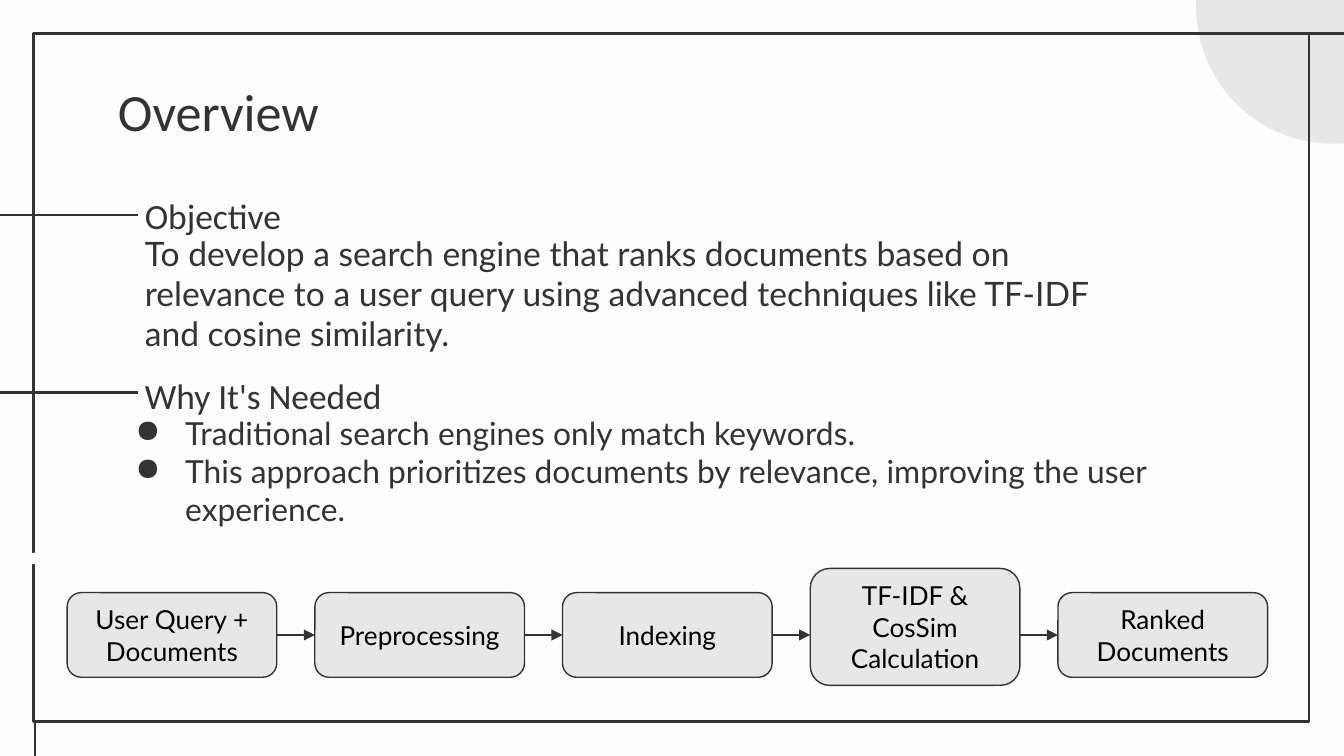
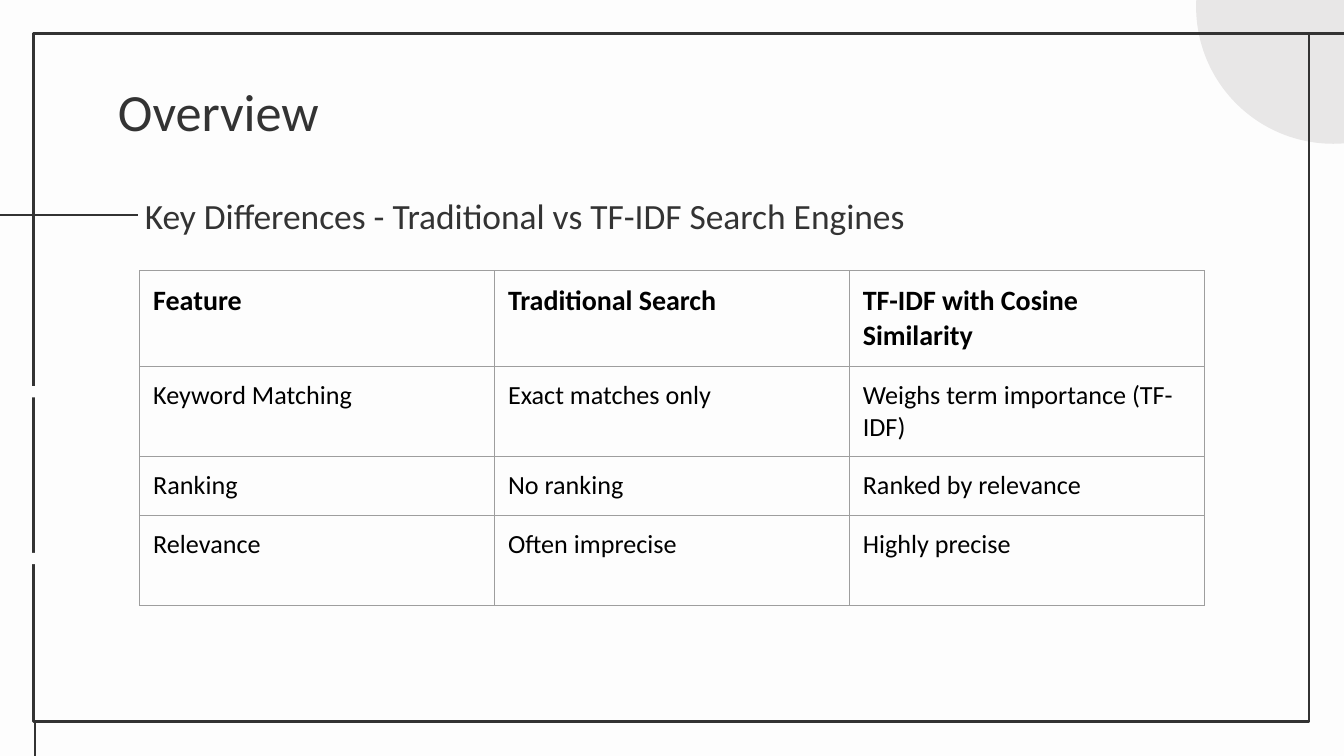
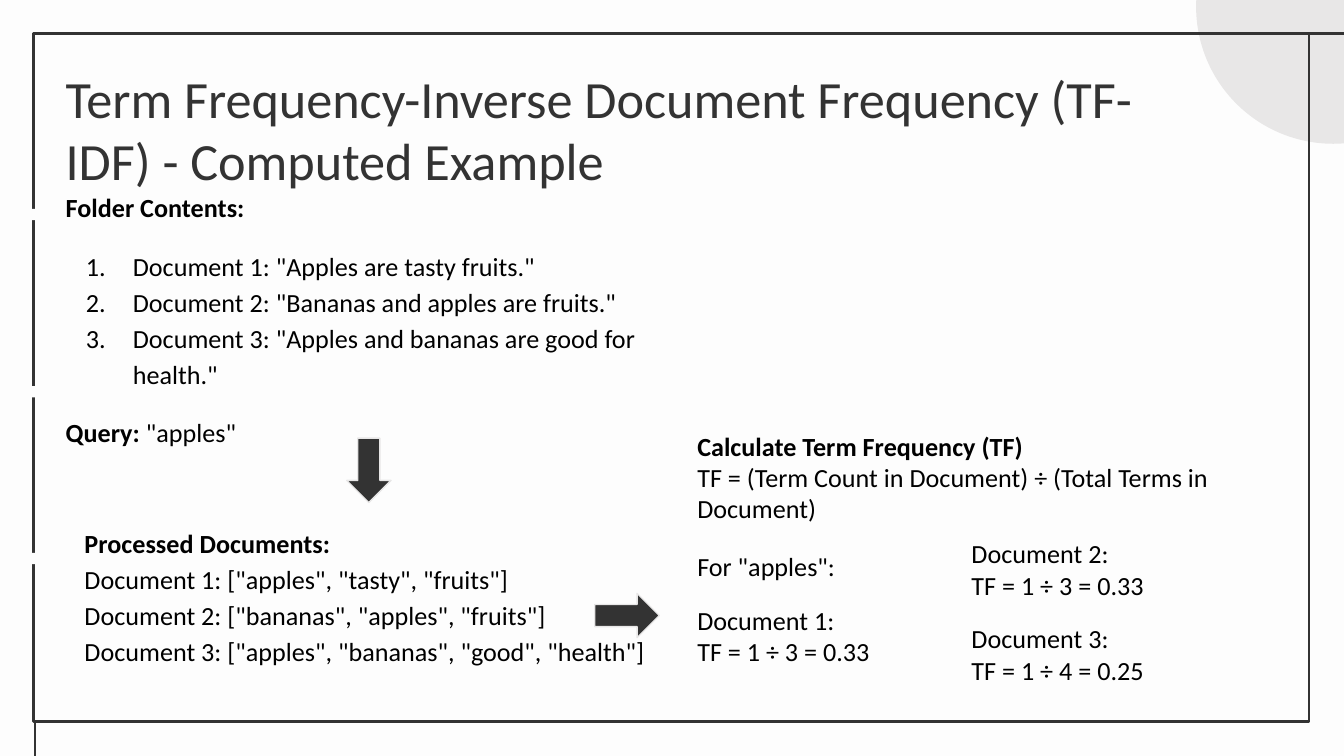
from dataclasses import dataclass
from itertools import pairwise
from typing import Optional

from lxml import etree
from pptx import Presentation
from pptx import util as u
from pptx.dml.color import RGBColor
from pptx.enum import shapes, text
from pptx.oxml.ns import qn

PAPER = RGBColor(0xFD, 0xFD, 0xFD)
INK = RGBColor(0x33, 0x33, 0x33)
MIST = RGBColor(0xE8, 0xE7, 0xE7)
GRID = RGBColor(0x9E, 0x9E, 0x9E)
BLACK = RGBColor(0, 0, 0)

WIDTH = u.Inches(10)
HEIGHT = u.Inches(5.625)
STEP = WIDTH / 100
INSET = u.Inches(0.1)
RULE_ROWS = (16, 29.2, 41.6)


@dataclass
class Style:
    font: str
    size: float
    color: RGBColor = BLACK
    spacing: Optional[float] = None


@dataclass
class Para:
    runs: list
    before: Optional[float] = None
    mark: Optional[tuple] = None


TITLE = Style("Calibri", 28, INK)
HEADING = Style("Calibri", 19, INK, 1.15)
STATEMENT = Style("Lato", 18, INK)
REASON = Style("Lato", 17, INK)
STAGE = Style("Lato", 14)
NOTE = Style("Calibri", 14)
LOOSE_NOTE = Style("Calibri", 14, spacing=1.15)
TABLE_HEAD = Style("Calibri", 15)

DOT = ("buChar", {"char": "●"}, 0.37)
NUMBER = ("buAutoNum", {"type": "arabicPeriod"}, 0.35)


def steps(*counts):
    return [round(count * STEP) for count in counts]


def plain(wording, **options):
    return Para([(wording, False)], **options)


def bold(wording, **options):
    return Para([(wording, True)], **options)


def add_mark(paragraph, mark, color):
    tag, attributes, hanging = mark
    properties = paragraph._p.get_or_add_pPr()
    properties.set("marL", str(u.Inches(0.5)))
    properties.set("indent", str(-u.Inches(hanging)))
    tint = etree.SubElement(properties, qn("a:buClr"))
    etree.SubElement(tint, qn("a:srgbClr"), val=str(color))
    etree.SubElement(properties, qn("a:" + tag), **attributes)


def write(frame, paras, style, align=text.PP_ALIGN.LEFT):
    frame.word_wrap = True
    frame.margin_left = frame.margin_right = INSET
    frame.margin_top = frame.margin_bottom = INSET
    for index, para in enumerate(paras):
        paragraph = frame.add_paragraph() if index else frame.paragraphs[0]
        paragraph.alignment = align
        if style.spacing:
            paragraph.line_spacing = style.spacing
        if para.before:
            paragraph.space_before = u.Pt(para.before)
        if para.mark:
            add_mark(paragraph, para.mark, style.color)
        for wording, is_bold in para.runs:
            for number, line in enumerate(wording.split("\n")):
                if number:
                    paragraph.add_line_break()
                run = paragraph.add_run()
                run.text = line
                run.font.name = style.font
                run.font.size = u.Pt(style.size)
                run.font.bold = is_bold
                run.font.color.rgb = style.color


def add_text(slide, area, paras, style, anchor=text.MSO_ANCHOR.TOP):
    frame = slide.shapes.add_textbox(*steps(*area)).text_frame
    frame.vertical_anchor = anchor
    write(frame, paras, style)


def add_figure(slide, kind, area, fill=None, line=None, weight=0.75):
    figure = slide.shapes.add_shape(kind, *steps(*area))
    figure.shadow.inherit = False
    if fill is None:
        figure.fill.background()
    else:
        figure.fill.solid()
        figure.fill.fore_color.rgb = fill
    if line is None:
        figure.line.fill.background()
    else:
        figure.line.color.rgb = line
        figure.line.width = u.Pt(weight)
    return figure


def add_line(slide, ends, color=INK, weight=1.5, arrow=False):
    line = slide.shapes.add_connector(shapes.MSO_CONNECTOR.STRAIGHT, *steps(*ends))
    line.line.color.rgb = color
    line.line.width = u.Pt(weight)
    if arrow:
        etree.SubElement(line.line._get_or_add_ln(), qn("a:tailEnd"), type="triangle")
    etree.SubElement(line._element.spPr, qn("a:effectLst"))
    return line


def start_slide(deck, title, corner=(7.8, 4.9), rules=0):
    slide = deck.slides.add_slide(deck.slide_layouts[6])
    slide.background.fill.solid()
    slide.background.fill.fore_color.rgb = PAPER
    add_figure(slide, shapes.MSO_SHAPE.OVAL, (89, -9.7, 20.4, 20.4), MIST)
    add_figure(slide, shapes.MSO_SHAPE.RECTANGLE, (2.5, 2.5, 94.9, 51.2), line=INK, weight=1.5)
    add_line(slide, (100, 2.5, 97.4, 2.5))
    add_line(slide, (2.6, 53.8, 2.6, 56.25))
    for row in RULE_ROWS[:rules]:
        add_line(slide, (0, row, 10.3, row))
    for row in RULE_ROWS[rules:]:
        add_line(slide, (0, row, 11, row - 0.2), PAPER, 6)
    add_text(slide, (*corner, 84.3, 6.3), [plain(title)], TITLE)
    return slide


def add_heading(slide, row, wording):
    add_text(slide, (9.8, row - 3.2, 72.3, 5.8), [plain(wording)], HEADING,
             text.MSO_ANCHOR.BOTTOM)


def add_pipeline(slide, stages, left=5, pitch=18.43, width=15.6, middle=47.25):
    boxes = []
    for index, (wording, top, height) in enumerate(stages):
        box = add_figure(slide, shapes.MSO_SHAPE.ROUNDED_RECTANGLE,
                         (left + index * pitch, top, width, height), MIST, INK)
        box.text_frame.vertical_anchor = text.MSO_ANCHOR.MIDDLE
        write(box.text_frame, [plain(wording)], STAGE, text.PP_ALIGN.CENTER)
        boxes.append(box)
    for index, (source, target) in enumerate(pairwise(boxes)):
        start = left + index * pitch + width
        link = add_line(slide, (start, middle, start + pitch - width, middle), arrow=True)
        if source.height == boxes[0].height:
            link.begin_connect(source, 3)
        if target.height == boxes[0].height:
            link.end_connect(target, 1)


def add_borders(cell):
    properties = cell._tc.get_or_add_tcPr()
    for index, side in enumerate(("lnL", "lnR", "lnT", "lnB")):
        border = etree.Element(qn("a:" + side), w=str(u.Pt(0.75)))
        fill = etree.SubElement(border, qn("a:solidFill"))
        etree.SubElement(fill, qn("a:srgbClr"), val=str(GRID))
        properties.insert(index, border)


def add_comparison(slide, area, rows, heights):
    table = slide.shapes.add_table(len(rows), len(rows[0]), *steps(*area)).table
    table.first_row = table.horz_banding = False
    for index, (row, height) in enumerate(zip(rows, heights)):
        table.rows[index].height = steps(height)[0]
        for column, wording in enumerate(row):
            cell = table.cell(index, column)
            cell.fill.background()
            add_borders(cell)
            cell.margin_left = cell.margin_right = INSET
            cell.margin_top = cell.margin_bottom = INSET
            if index:
                write(cell.text_frame, [plain(wording)], NOTE)
            else:
                write(cell.text_frame, [bold(wording)], TABLE_HEAD)


def add_block_arrow(slide, left, top, turn=0):
    arrow = add_figure(slide, shapes.MSO_SHAPE.DOWN_ARROW, (left, top, 3.3, 4.8), INK, MIST)
    arrow.rotation = turn


def build_objective(deck):
    slide = start_slide(deck, "Overview", rules=2)
    add_text(slide, (9.8, 16.3, 72.3, 5.8), [plain(
        "To develop a search engine that ranks documents based on relevance to a user "
        "query using advanced techniques like TF-IDF and cosine similarity.")], STATEMENT)
    add_text(slide, (7.8, 29.8, 84.3, 10), [
        plain("Traditional search engines only match keywords.", mark=DOT),
        plain("This approach prioritizes documents by relevance, improving the user "
              "experience.", mark=DOT),
    ], REASON)
    add_heading(slide, RULE_ROWS[0], "Objective")
    add_heading(slide, RULE_ROWS[1] + 0.2, "Why It's Needed")
    add_pipeline(slide, [
        ("User Query + Documents", 44.1, 6.3),
        ("Preprocessing", 44.1, 6.3),
        ("Indexing", 44.1, 6.3),
        ("TF-IDF & CosSim Calculation", 42.3, 8.7),
        ("Ranked Documents", 44.1, 6.3),
    ])


def build_differences(deck):
    slide = start_slide(deck, "Overview", rules=1)
    add_heading(slide, RULE_ROWS[0], "Key Differences - Traditional vs TF-IDF Search Engines")
    add_comparison(slide, (10.4, 20.15, 79.2, 24.9), [
        ("Feature", "Traditional Search", "TF-IDF with Cosine Similarity"),
        ("Keyword Matching", "Exact matches only", "Weighs term importance (TF-IDF)"),
        ("Ranking", "No ranking", "Ranked by relevance"),
        ("Relevance", "Often imprecise", "Highly precise"),
    ], (7.1, 6.7, 4.4, 6.7))


def build_example(deck):
    slide = start_slide(
        deck, "Term Frequency-Inverse Document Frequency (TF-IDF) - Computed Example",
        corner=(3.9, 3.9))
    add_text(slide, (3.9, 12.9, 47.1, 22.1), [
        bold("Folder Contents:", before=12),
        plain('Document 1: "Apples are tasty fruits."', before=12, mark=NUMBER),
        plain('Document 2: "Bananas and apples are fruits."', mark=NUMBER),
        plain('Document 3: "Apples and bananas are good for health."', mark=NUMBER),
        Para([("Query:", True), (' "apples"', False)], before=12),
    ], LOOSE_NOTE)
    add_text(slide, (5.3, 37.9, 44.1, 12.9), [
        bold("Processed Documents:"),
        plain('Document 1: ["apples", "tasty", "fruits"]'),
        plain('Document 2: ["bananas", "apples", "fruits"]'),
        plain('Document 3: ["apples", "bananas", "good", "health"]'),
    ], LOOSE_NOTE)
    add_block_arrow(slide, 25.8, 32.6)
    add_block_arrow(slide, 45, 43.4, 270)
    add_text(slide, (50.9, 31, 45.6, 22.1), [
        Para([("Calculate Term Frequency (TF)", True),
              ("\nTF = (Term Count in Document) ÷ (Total Terms in Document)", False)],
             before=14),
        plain('For "apples":', before=14),
        plain("Document 1:\nTF = 1 ÷ 3 = 0.33", before=12),
    ], NOTE)
    add_text(slide, (71.3, 39, 18.2, 14.1), [
        plain("Document 2:\nTF = 1 ÷ 3 = 0.33", before=12),
        plain("Document 3:\nTF = 1 ÷ 4 = 0.25", before=12),
    ], NOTE)


def main():
    deck = Presentation()
    deck.slide_width = WIDTH
    deck.slide_height = HEIGHT
    build_objective(deck)
    build_differences(deck)
    build_example(deck)
    deck.save("out.pptx")


if __name__ == "__main__":
    main()
